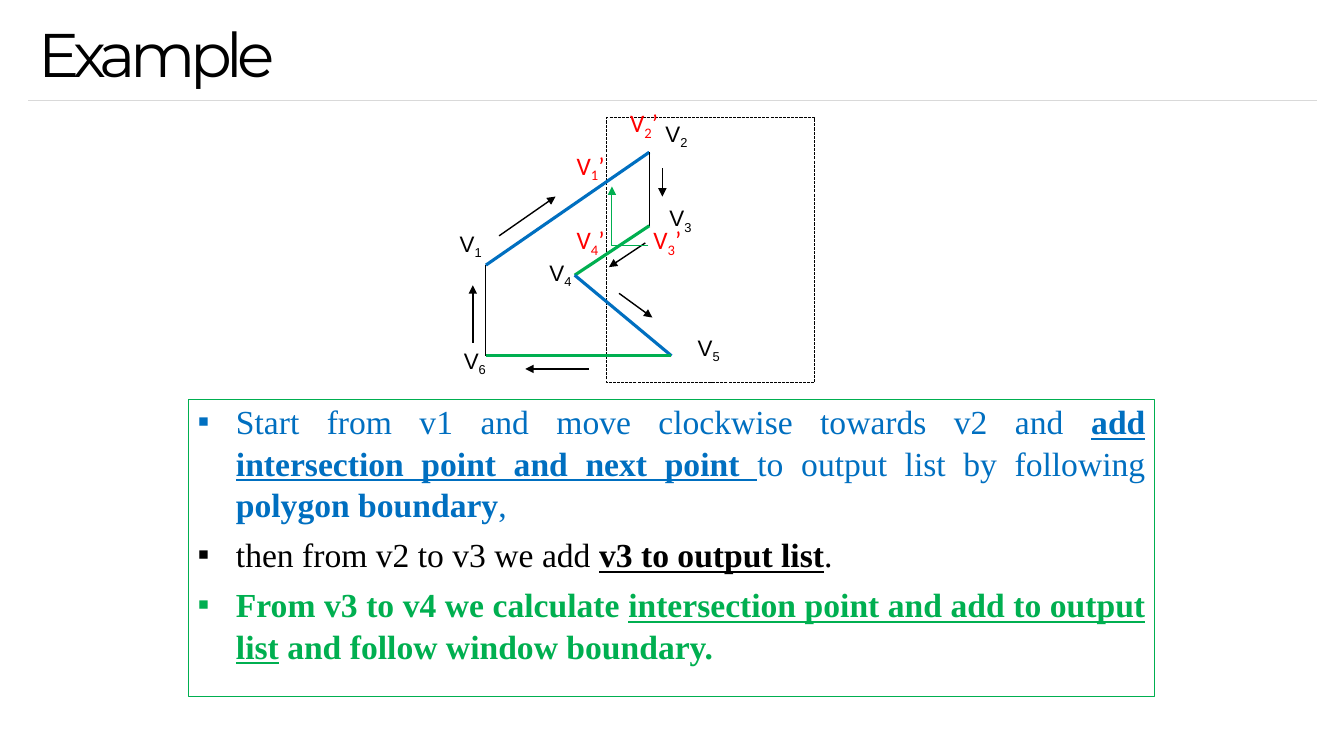
import pptx
import pptx.util
import pptx.dml.color
import pptx.enum.dml
import pptx.enum.shapes
import pptx.enum.text
import pptx.oxml
import pptx.oxml.ns
from dataclasses import dataclass

Inches = pptx.util.Inches
Pt = pptx.util.Pt


@dataclass(frozen=True)
class Theme:
    black: str = "000000"
    grey: str = "D9D9D9"
    blue: str = "006FC0"
    green: str = "00AF50"
    red: str = "FF0000"
    head: int = 44
    body: int = 24
    mark: int = 18
    node: int = 16
    sub: float = 15.8


def paint(hue):
    return pptx.dml.color.RGBColor.from_string(hue)


def tag(name, **attrs):
    item = pptx.oxml.parse_xml(f"<a:{name} {pptx.oxml.ns.nsdecls('a')}/>")
    for key, val in attrs.items():
        item.set(key, val)
    return item


def write(para, text, size, hue, face, bold=False, under=False, base=0, space=0):
    """Add a run; base is a percent shift, space is tracking in points."""
    run = para.add_run()
    run.text = text
    font = run.font
    font.size, font.name = Pt(size), face
    font.bold, font.underline = bold, under
    font.color.rgb = paint(hue)
    props = run._r.get_or_add_rPr()
    if base:
        props.set("baseline", str(base * 1000))
    if space:
        props.set("spc", str(int(space * 100)))


class Board:
    def __init__(self, slide, theme):
        self.slide, self.theme = slide, theme

    def ink(self, item, hue, width=0.75, arrow=False):
        """Set the outline of a shape or connector."""
        item.line.color.rgb = paint(hue)
        item.line.width = Pt(width)
        if arrow:
            item.line._get_or_add_ln().append(
                tag("tailEnd", type="triangle", w="med", len="med"))

    def line(self, start, end, hue, width=0.75, arrow=False):
        ends = [Inches(v) for v in (*start, *end)]
        kind = pptx.enum.shapes.MSO_CONNECTOR.STRAIGHT
        link = self.slide.shapes.add_connector(kind, *ends)
        self.ink(link, hue, width, arrow)
        link._element.spPr.append(tag("effectLst"))

    def bend(self, spots, hue):
        """Draw an open path through the spots, with an arrow at its end."""
        first, *rest = [tuple(map(Inches, spot)) for spot in spots]
        pen = self.slide.shapes.build_freeform(*first)
        pen.add_line_segments(rest, close=False)
        shape = pen.convert_to_shape()
        shape.shadow.inherit = False
        shape.fill.background()
        self.ink(shape, hue, arrow=True)

    def frame(self, place, hue, dash=None):
        kind = pptx.enum.shapes.MSO_SHAPE.RECTANGLE
        box = self.slide.shapes.add_shape(kind, *map(Inches, place))
        box.shadow.inherit = False
        box.fill.background()
        self.ink(box, hue)
        if dash:
            box.line.dash_style = dash
        return box

    def text(self, place):
        """Add an empty text box and return its first paragraph."""
        box = self.slide.shapes.add_textbox(*map(Inches, place))
        area = box.text_frame
        area.margin_left = area.margin_right = area.margin_bottom = 0
        area.margin_top = Inches(0.01)
        return area.paragraphs[0]

    def node(self, num, left, top):
        para = self.text((left + 0.04, top, 0.27, 0.29))
        look = dict(hue=self.theme.black, face="Arial")
        write(para, "V", self.theme.node, space=-0.2, **look)
        write(para, num, self.theme.sub, base=-24, **look)

    def cross(self, num, left, top):
        """Label a point where the polygon meets the window."""
        para = self.text((left + 0.05, top, 0.34, 0.33))
        look = dict(size=self.theme.mark, hue=self.theme.red, face="Calibri")
        write(para, "V", space=-0.2, **look)
        write(para, num, base=-21, **look)
        write(para, "’", space=-0.2, **look)

    def steps(self, place, items):
        area = self.frame(place, self.theme.green).text_frame
        area.word_wrap = True
        area.vertical_anchor = pptx.enum.text.MSO_ANCHOR.TOP
        area.margin_left = area.margin_bottom = 0
        area.margin_right, area.margin_top = Inches(0.09), Inches(0.01)
        for rank, (hue, runs) in enumerate(items):
            para = area.add_paragraph() if rank else area.paragraphs[0]
            para.alignment = pptx.enum.text.PP_ALIGN.JUSTIFY
            para.line_spacing = 1.03
            para.space_before = Pt(6 if rank else 2)
            props = para._p.get_or_add_pPr()
            props.set("marL", str(Inches(0.47)))
            props.set("indent", str(-Inches(0.38)))
            props.append(tag("buFont", typeface="Times New Roman"))
            props.append(tag("buChar", char="▪"))
            for text, style in runs:
                if text == "\n":
                    para.add_line_break()
                    continue
                write(para, text, self.theme.body, hue, "Times New Roman",
                      bold="b" in style, under="u" in style)


def main():
    deck = pptx.Presentation()
    deck.slide_width, deck.slide_height = Inches(13.33), Inches(7.5)
    theme = Theme()
    board = Board(deck.slides.add_slide(deck.slide_layouts[6]), theme)

    board.line((0.28, 1), (13.06, 1), theme.grey)
    title = board.text((0.38, 0.15, 11.81, 0.76))
    title.space_before = Pt(1)
    write(title, "Example", theme.head, theme.black, "Montserrat", space=-4)

    board.steps((1.87, 3.96, 9.58, 2.95), [
        (theme.blue, [
            ("Start from v1 and move clockwise towards v2 and ", ""),
            ("add", "bu"), ("\n", ""),
            ("intersection point and next point ", "bu"),
            ("to output list by following ", ""),
            ("polygon boundary", "b"), (",", "")]),
        (theme.black, [
            ("then from v2 to v3 we add ", ""),
            ("v3 to output list", "bu"), (".", "")]),
        (theme.green, [
            ("From v3 to v4 we calculate ", "b"),
            ("intersection point and add to output list", "bu"),
            (" and follow window boundary.", "b")]),
    ])

    board.frame((6.02, 1.17, 2.06, 2.63), theme.black,
                pptx.enum.dml.MSO_LINE.SQUARE_DOT)
    spots = [(4.82, 2.63), (6.44, 1.51), (6.44, 2.24),
             (5.7, 2.73), (6.66, 3.53), (4.82, 3.53)]
    edges = [(theme.blue, 2.25), (theme.black, 0.75), (theme.green, 2.25),
             (theme.blue, 2.25), (theme.green, 2.25), (theme.black, 0.75)]
    for start, end, (hue, width) in zip(spots, spots[1:] + spots[:1], edges):
        board.line(start, end, hue, width)

    moves = [((4.95, 2.34), (5.51, 1.95)), ((6.57, 1.67), (6.57, 1.95)),
             ((6.4, 2.41), (6.04, 2.65)), ((6.14, 2.91), (6.47, 3.15)),
             ((5.84, 3.66), (5.21, 3.66)), ((4.69, 3.4), (4.69, 2.83))]
    for start, end in moves:
        board.line(start, end, theme.black, 1, arrow=True)
    board.bend([(6.43, 2.44), (6.07, 2.44), (6.07, 1.85)], theme.green)

    nodes = [(4.52, 2.27), (6.56, 1.18), (6.6, 2.02),
             (5.41, 2.56), (6.88, 3.3), (4.56, 3.43)]
    for num, place in enumerate(nodes, 1):
        board.node(str(num), *place)
    marks = [(5.67, 1.48), (6.2, 1.06), (6.43, 2.22), (5.67, 2.22)]
    for num, place in enumerate(marks, 1):
        board.cross(str(num), *place)

    deck.save("out.pptx")


if __name__ == "__main__":
    main()
